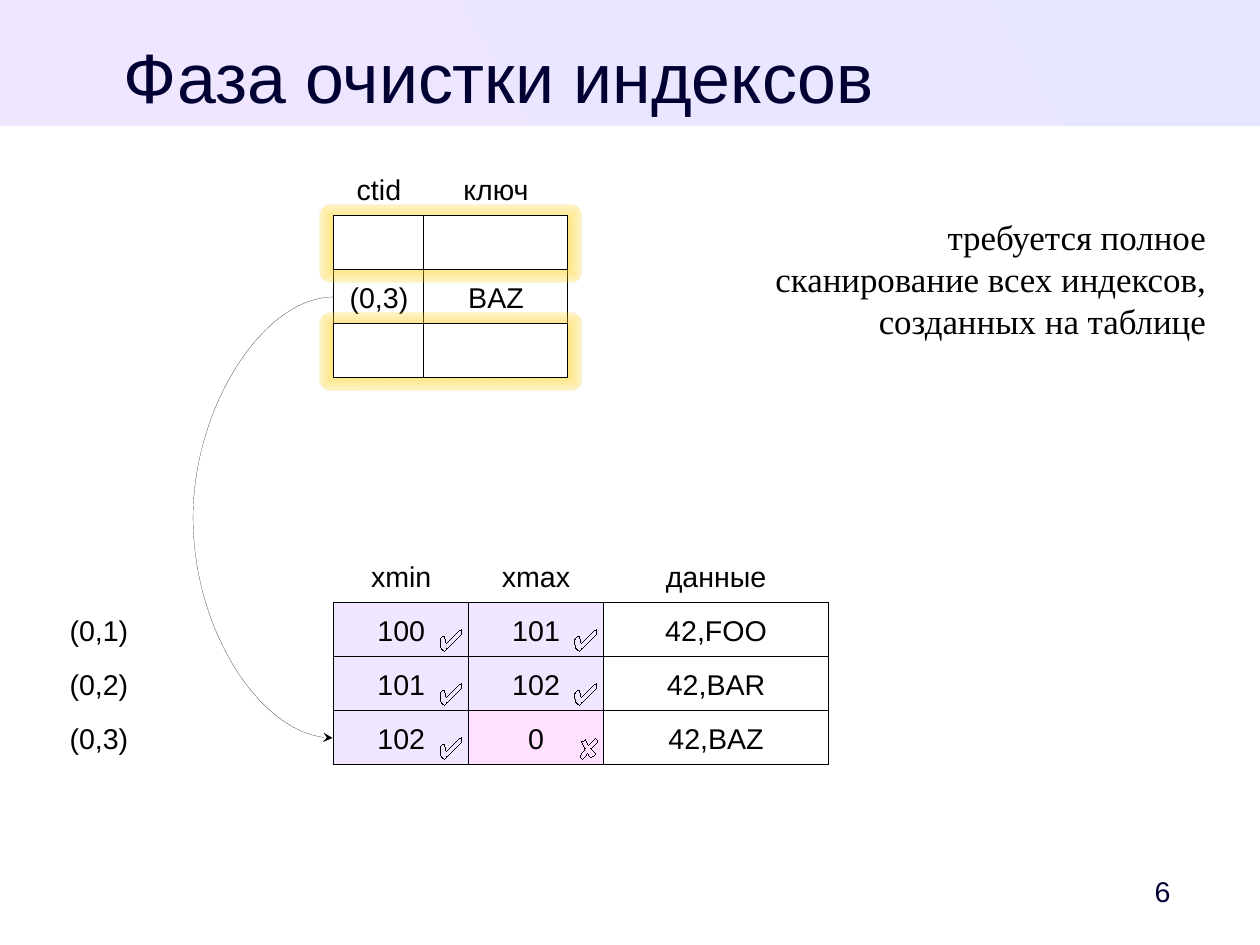
import pptx
import pptx.dml.color
import pptx.enum.shapes
import pptx.enum.text
import pptx.oxml
import pptx.oxml.ns
import pptx.util

Inches = pptx.util.Inches
Pt = pptx.util.Pt
rgb = pptx.dml.color.RGBColor.from_string
qn = pptx.oxml.ns.qn
MSO_SHAPE = pptx.enum.shapes.MSO_SHAPE
PP_ALIGN = pptx.enum.text.PP_ALIGN
MSO_ANCHOR = pptx.enum.text.MSO_ANCHOR

WHITE, BLACK, NAVY, LILAC, PINK, GOLD = "FFFFFF", "000000", "000033", "F0E6FF", "FFE1FF", "FFCC00"
CM = 1 / 2.54  # the layout follows a metric grid
ROW_HEIGHT = 1.2 * CM
TABLE_LEFT = 2.92
HAIRLINE = Pt(0.01)

presentation = pptx.Presentation()
presentation.slide_width = Inches(28 * CM)
presentation.slide_height = Inches(21 * CM)
slide = presentation.slides.add_slide(presentation.slide_layouts[6])
shapes = slide.shapes


def paint(shape, fill, outlined=True):
    shape.shadow.inherit = False
    shape.fill.solid()
    shape.fill.fore_color.rgb = rgb(fill)
    if outlined:
        shape.line.color.rgb = rgb(BLACK)
        shape.line.width = HAIRLINE
    else:
        shape.line.fill.background()


def add_cell(left, top, width, text="", fill=WHITE, outlined=True):
    cell = shapes.add_shape(MSO_SHAPE.RECTANGLE, Inches(left), Inches(top),
                            Inches(width), Inches(ROW_HEIGHT))
    paint(cell, fill, outlined)
    if text:
        frame = cell.text_frame
        frame.word_wrap = False
        frame.vertical_anchor = MSO_ANCHOR.MIDDLE
        paragraph = frame.paragraphs[0]
        paragraph.text = text
        paragraph.alignment = PP_ALIGN.CENTER
        paragraph.font.size = Pt(18)
        paragraph.font.name = "Arial"
        paragraph.font.color.rgb = rgb(BLACK)


# Title band
band = shapes.add_shape(MSO_SHAPE.RECTANGLE, 0, 0, presentation.slide_width, Inches(1.1))
band.shadow.inherit = False
band.line.fill.background()
band.fill.gradient()
band.fill.gradient_angle = 210
for stop, color in zip(band.fill.gradient_stops, ("E6E6FF", LILAC)):
    stop.color.rgb = rgb(color)

# Title, remark and slide number
remark = "требуется полное\nсканирование всех индексов,\nсозданных на таблице"
for text, left, top, width, height, margin, size, font, color, alignment, anchor in (
    ("Фаза очистки индексов", 0.47, 0.29, 7.8, 0.69, 0, 44, "Arial", NAVY,
     PP_ALIGN.CENTER, MSO_ANCHOR.TOP),
    (remark, 0.47, 4.8 * CM, 10.08, 5.98, 0, 22, "Times New Roman", BLACK,
     PP_ALIGN.RIGHT, MSO_ANCHOR.TOP),
    ("6", 9.69, 7.56, 0.87, 0.47, 0.32, 18, "Arial", NAVY,
     PP_ALIGN.RIGHT, MSO_ANCHOR.MIDDLE),
):
    text_box = shapes.add_textbox(Inches(left), Inches(top), Inches(width), Inches(height))
    frame = text_box.text_frame
    frame.word_wrap = True
    frame.vertical_anchor = anchor
    frame.margin_left = frame.margin_top = frame.margin_bottom = 0
    frame.margin_right = Inches(margin)
    paragraph = frame.paragraphs[0]
    paragraph.text = text
    paragraph.alignment = alignment
    paragraph.font.size = Pt(size)
    paragraph.font.name = font
    paragraph.font.color.rgb = rgb(color)

# Index: headings and the remaining row
index_top = 4.8 * CM
key_left = TABLE_LEFT + 0.79
index_columns = ((TABLE_LEFT, 0.79), (key_left, 1.26))
for (left, width), heading, value in zip(index_columns, ("ctid", "ключ"), ("(0,3)", "BAZ")):
    add_cell(left, index_top - ROW_HEIGHT, width, heading, outlined=False)
    add_cell(left, index_top + ROW_HEIGHT, width, value)

# Index: cleaned rows with a glow
for row in (0, 2):
    top = index_top + row * ROW_HEIGHT
    glow = shapes.add_shape(MSO_SHAPE.ROUNDED_RECTANGLE, Inches(TABLE_LEFT - 0.12),
                            Inches(top - 0.1), Inches(2.29), Inches(0.68))
    glow.adjustments[0] = 0.15
    glow.shadow.inherit = False
    glow.line.fill.background()
    glow.fill.gradient()
    for stop in glow.fill.gradient_stops:
        stop.color.rgb = rgb(GOLD)
    gradient = glow._element.spPr.find(qn("a:gradFill"))
    edge_color = gradient.findall(".//" + qn("a:srgbClr"))[-1]
    edge_color.append(pptx.oxml.parse_xml(
        f'<a:alpha {pptx.oxml.ns.nsdecls("a")} val="20000"/>'))
    gradient.replace(gradient.find(qn("a:lin")), pptx.oxml.parse_xml(
        f'<a:path {pptx.oxml.ns.nsdecls("a")} path="rect">'
        '<a:fillToRect l="50000" t="50000" r="50000" b="50000"/></a:path>'))
    for left, width in index_columns:
        add_cell(left, top, width)

# Heap table: headings, row versions and their status marks
heap_top = 13.4 * CM
heap_columns = ((TABLE_LEFT, 1.18), (4.1, 1.18), (5.28, 1.97))
for (left, width), heading, heading_width in zip(
        heap_columns, ("xmin", "xmax", "данные"), (0.79, 0.79, 1.57)):
    add_cell(left + (width - heading_width) / 2, heap_top - ROW_HEIGHT,
             heading_width, heading, outlined=False)

# Outlines in hundredths of an inch from the cell's corner
check_mark = ((112, 23), (110, 24), (105, 29), (102, 32), (99, 35), (98, 34), (98, 32),
              (97, 30), (97, 29), (95, 29), (94, 30), (93, 32), (93, 36), (94, 40),
              (95, 41), (97, 42), (99, 40), (108, 31), (112, 27))
cross_mark = ((113, 26), (111, 24), (105, 30), (102, 25), (101, 26), (99, 27), (102, 33),
              (99, 37), (98, 39), (98, 40), (100, 42), (104, 37), (107, 41), (108, 40),
              (110, 39), (111, 37), (107, 33), (113, 27))
heap_rows = (("(0,1)", "100", "101", "42,FOO"),
             ("(0,2)", "101", "102", "42,BAR"),
             ("(0,3)", "102", "0", "42,BAZ"))
for row, (ctid, *values) in enumerate(heap_rows):
    top = heap_top + row * ROW_HEIGHT
    add_cell(0.47, top, 0.79, ctid, outlined=False)
    for column, ((left, width), value) in enumerate(zip(heap_columns, values)):
        if column == 2:
            add_cell(left, top, width, value)
            continue
        fill, outline = (PINK, cross_mark) if value == "0" else (LILAC, check_mark)
        add_cell(left, top, width, value, fill)
        builder = shapes.build_freeform(*outline[0], scale=Inches(0.01))
        builder.add_line_segments(outline[1:], close=True)
        paint(builder.convert_to_shape(Inches(left), Inches(top)), fill)

# Curved arrow from the index row to its row version
arrow = shapes.add_connector(pptx.enum.shapes.MSO_CONNECTOR.CURVE,
                             Inches(TABLE_LEFT), Inches(index_top + 1.5 * ROW_HEIGHT),
                             Inches(TABLE_LEFT - 0.01), Inches(heap_top + 2.5 * ROW_HEIGHT))
arrow.line.color.rgb = rgb(BLACK)
arrow.line.width = HAIRLINE
properties = arrow._element.spPr
properties.find(qn("a:ln")).append(pptx.oxml.parse_xml(
    f'<a:tailEnd {pptx.oxml.ns.nsdecls("a")} type="stealth"/>'))
properties.append(pptx.oxml.parse_xml(f'<a:effectLst {pptx.oxml.ns.nsdecls("a")}/>'))
bend = properties.find(qn("a:prstGeom")).get_or_add_avLst()
bend.append(pptx.oxml.parse_xml(
    f'<a:gd {pptx.oxml.ns.nsdecls("a")} name="adj1" fmla="val 12500000"/>'))

presentation.save("out.pptx")
